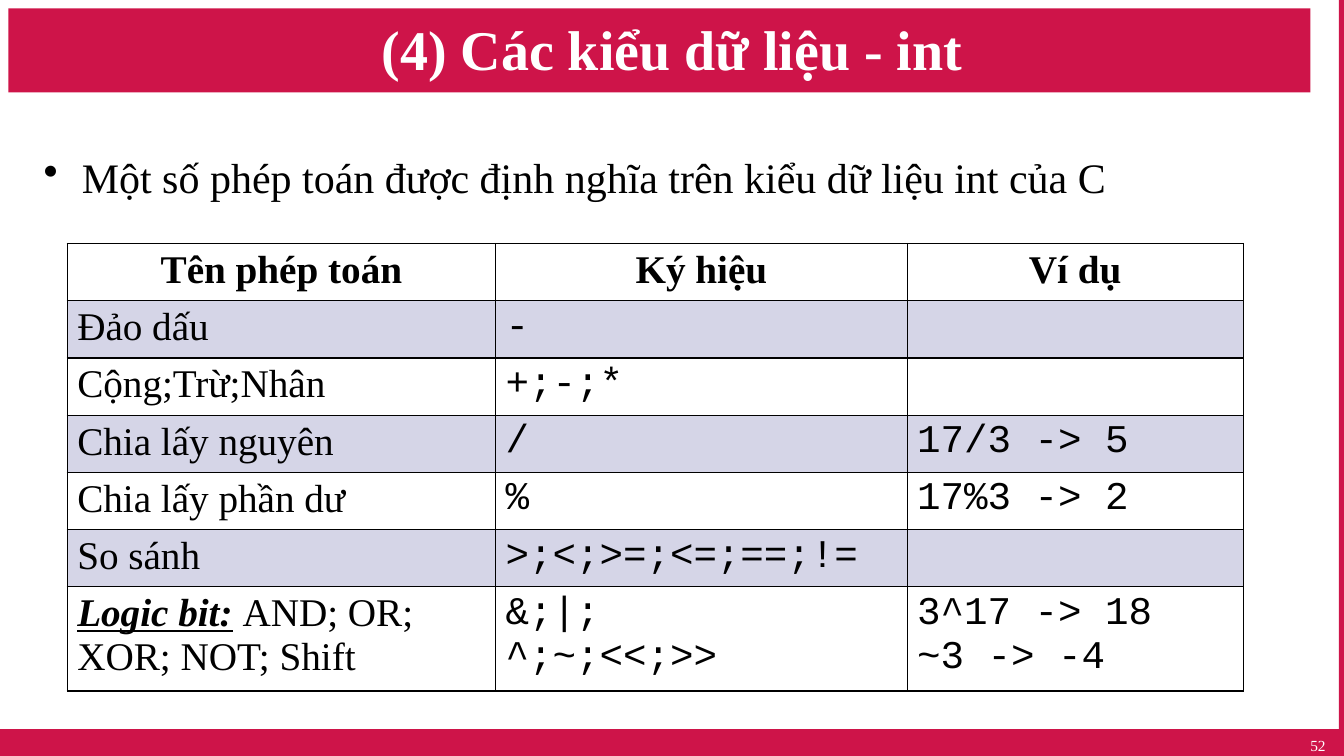
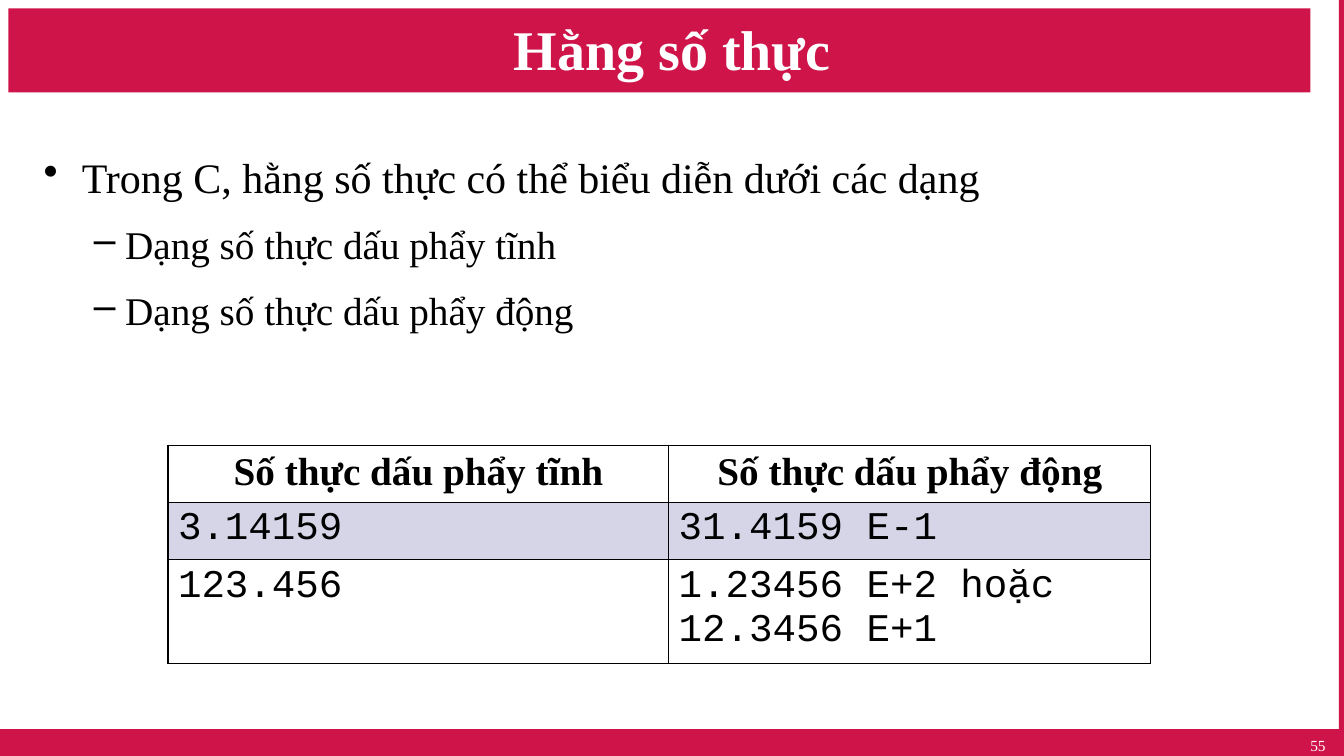
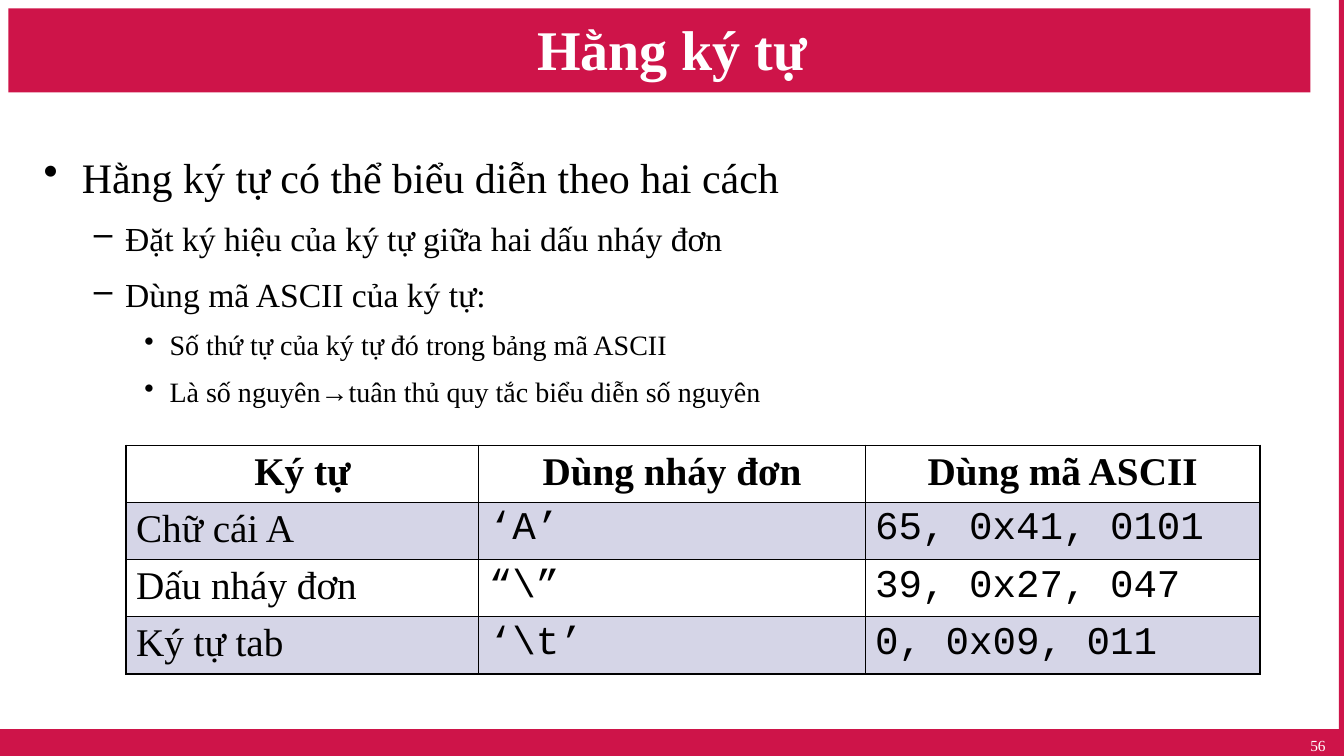
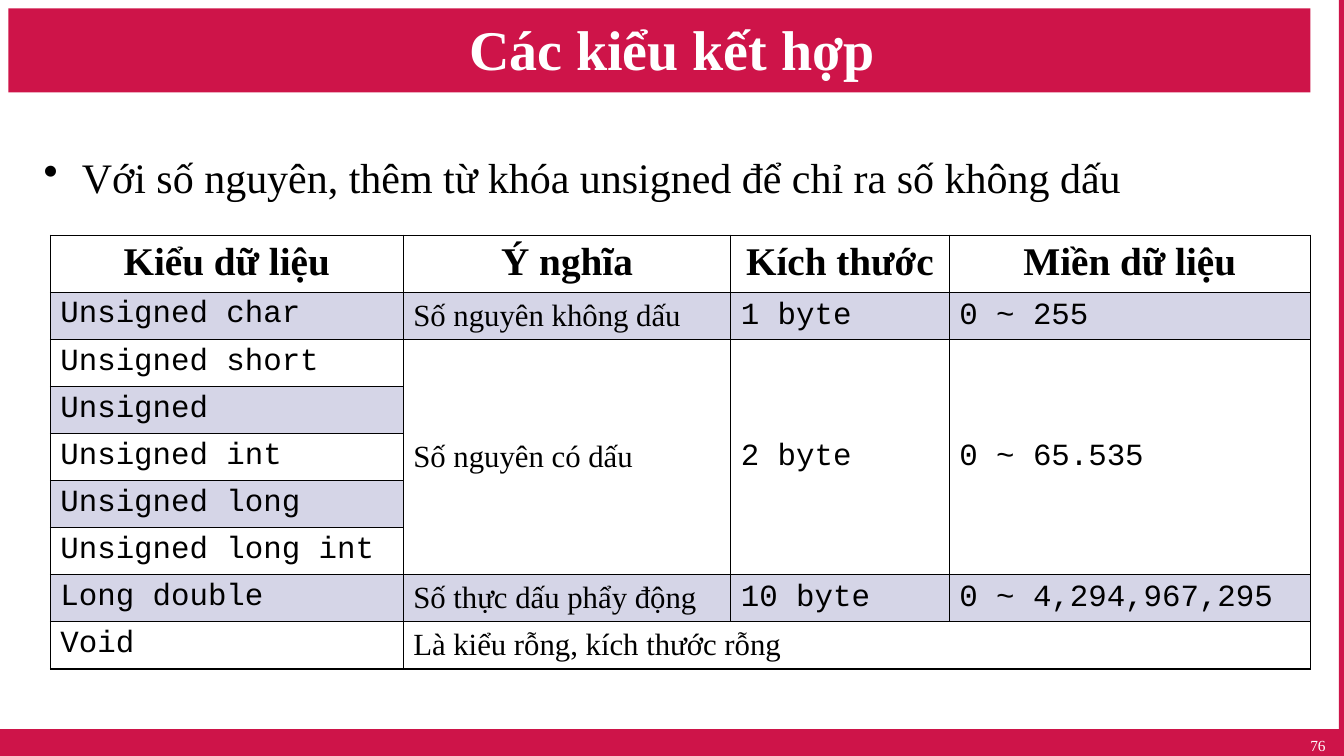
from lxml.etree import SubElement
from pptx import Presentation
from pptx.dml.color import RGBColor
from pptx.enum.shapes import MSO_SHAPE
from pptx.enum.text import MSO_ANCHOR, PP_ALIGN
from pptx.oxml.ns import qn
from pptx.util import Inches, Pt

UNIT = 1 / 12
WIDE, HIGH = 160, 90
RED, WHITE, BLACK, BLUE = "CE1449", "FFFFFF", "000000", "2D2D8A"
SERIF, MONO = "Times New Roman", "Courier New"


def grid(n):
    return Inches(n * UNIT)


def color(text):
    return RGBColor.from_string(text)


def apply(item, form):
    for key, value in form.items():
        setattr(item, key, value)


class Deck:
    base = {"name": SERIF, "size": Pt(28), "bold": False}
    bands = [(1, 1, 155, 10), (0, 86.8, WIDE, 3.2), (159.4, 0, 0.6, HIGH)]
    levels = [("•", 0.38, 0.38), ("–", 0.81, 0.31), ("•", 1.25, 0.25)]
    edges = ("a:lnL", "a:lnR", "a:lnT", "a:lnB")

    def __init__(self):
        self.file = Presentation()
        apply(self.file, {"slide_width": grid(WIDE), "slide_height": grid(HIGH)})
        self.page = None

    def start(self, title, number):
        self.page = self.file.slides.add_slide(self.file.slide_layouts[6])
        for place in self.bands:
            self.band(place)
        head = self.box((8, 2, 144, 7.4), MSO_ANCHOR.MIDDLE)
        self.put(head.paragraphs[0], title, WHITE, {"size": Pt(40), "bold": True},
                 {"alignment": PP_ALIGN.CENTER})
        foot = self.box((121.7, 86, 37.3, 3))
        self.put(foot.paragraphs[0], number, WHITE, {"size": Pt(11)},
                 {"alignment": PP_ALIGN.RIGHT, "line_spacing": 1.5})

    def band(self, place):
        shape = self.page.shapes.add_shape(MSO_SHAPE.RECTANGLE, *map(grid, place))
        shape.shadow.inherit = False
        shape.fill.solid()
        shape.fill.fore_color.rgb = color(RED)
        shape.line.fill.background()

    def box(self, place, anchor=MSO_ANCHOR.TOP):
        frame = self.page.shapes.add_textbox(*map(grid, place)).text_frame
        apply(frame, {"word_wrap": True, "vertical_anchor": anchor})
        return frame

    def put(self, para, text, ink, font, form):
        apply(para, form)
        parts = [(text, {})] if isinstance(text, str) else text
        for words, extra in parts:
            run = para.add_run()
            run.text = words
            apply(run.font, {**self.base, **font, **extra})
            run.font.color.rgb = color(ink)

    def points(self, items):
        frame = self.box((4, 15, 152, 70))
        for n, (level, size, text) in enumerate(items):
            para = frame.add_paragraph() if n else frame.paragraphs[0]
            mark, left, hang = self.levels[level]
            props = para._p.get_or_add_pPr()
            props.set("marL", str(Inches(left)))
            props.set("indent", str(-Inches(hang)))
            SubElement(props, qn("a:buChar"), char=mark)
            self.put(para, text, BLACK, {"size": Pt(size)},
                     {"level": level, "alignment": PP_ALIGN.JUSTIFY, "line_spacing": 1.4})

    def table(self, left, top, cols, rows, tall, size=28, spans=(), anchor=MSO_ANCHOR.TOP):
        frame = self.page.shapes.add_table(
            len(rows), len(cols), grid(left), grid(top), grid(sum(cols)), grid(sum(tall)))
        table = frame.table
        apply(table, {"first_row": False, "horz_banding": False})
        for col, width in zip(table.columns, cols):
            col.width = grid(width)
        for row, height in zip(table.rows, tall):
            row.height = grid(height)
        for r, row in enumerate(rows):
            for c in range(len(cols)):
                cell = table.cell(r, c)
                self.dress(cell, r % 2 == 1)
                if c and r:
                    cell.vertical_anchor = anchor
                if c < len(row):
                    self.fill(cell, row[c], r == 0, size)
        for first, last in spans:
            table.cell(*first).merge(table.cell(*last))

    def fill(self, cell, text, head, size):
        mono = isinstance(text, str) and text.startswith("`")
        lines = text.lstrip("`").split("\n") if isinstance(text, str) else [text]
        font = {"name": MONO if mono else SERIF, "size": Pt(28 if head else size), "bold": head}
        side = PP_ALIGN.CENTER if head else PP_ALIGN.LEFT
        for n, line in enumerate(lines):
            para = cell.text_frame.add_paragraph() if n else cell.text_frame.paragraphs[0]
            self.put(para, line, BLACK, font, {"alignment": side})

    def dress(self, cell, tint):
        props = cell._tc.get_or_add_tcPr()
        for edge in self.edges:
            line = SubElement(props, qn(edge), w=str(Pt(1)))
            paint = SubElement(line, qn("a:solidFill"))
            SubElement(paint, qn("a:srgbClr"), val=BLACK)
        if tint:
            cell.fill.solid()
            cell.fill.fore_color.rgb = color(BLUE)
            tone = props.find(qn("a:solidFill")).find(qn("a:srgbClr"))
            SubElement(tone, qn("a:alpha"), val="20000")
        else:
            cell.fill.background()


def main():
    deck = Deck()

    deck.start("(4) Các kiểu dữ liệu - int", "52")
    deck.points([(0, 30, "Một số phép toán được định nghĩa trên kiểu dữ liệu int của C")])
    logic = [("Logic bit:", {"bold": True, "italic": True, "underline": True}),
             (" ", {"bold": True, "italic": True}),
             ("AND; OR; XOR; NOT; Shift", {})]
    deck.table(8, 29, [51, 49, 40], [
        ["Tên phép toán", "Ký hiệu", "Ví dụ"],
        ["Đảo dấu", "`-"],
        ["Cộng;Trừ;Nhân", "`+;-;*"],
        ["Chia lấy nguyên", "`/", "`17/3 -> 5"],
        ["Chia lấy phần dư", "`%", "`17%3 -> 2"],
        ["So sánh", "`>;<;>=;<=;==;!="],
        [logic, "`&;|;\n^;~;<<;>>", "`3^17 -> 18\n~3 -> -4"],
    ], [6.4] + [6.5] * 5 + [11.7])

    deck.start("Hằng số thực", "55")
    deck.points([
        (0, 30, "Trong C, hằng số thực có thể biểu diễn dưới các dạng"),
        (1, 28, "Dạng số thực dấu phẩy tĩnh"),
        (1, 28, "Dạng số thực dấu phẩy động"),
    ])
    deck.table(20, 53, [59.6, 57.4], [
        ["Số thực dấu phẩy tĩnh", "Số thực dấu phẩy động"],
        ["`3.14159", "`31.4159 E-1"],
        ["`123.456", "`1.23456 E+2 hoặc\n12.3456 E+1"],
    ], [6.6, 6.4, 11.8])

    deck.start("Hằng ký tự", "56")
    deck.points([
        (0, 30, "Hằng ký tự có thể biểu diễn theo hai cách"),
        (1, 24, "Đặt ký hiệu của ký tự giữa hai dấu nháy đơn"),
        (1, 24, "Dùng mã ASCII của ký tự:"),
        (2, 20, "Số thứ tự của ký tự đó trong bảng mã ASCII"),
        (2, 20, "Là số nguyên→tuân thủ quy tắc biểu diễn số nguyên"),
    ])
    deck.table(15, 53, [42, 46, 47], [
        ["Ký tự", "Dùng nháy đơn", "Dùng mã ASCII"],
        ["Chữ cái A", "`‘A’", "`65, 0x41, 0101"],
        ["Dấu nháy đơn", "`“\\”", "`39, 0x27, 047"],
        ["Ký tự tab", "`‘\\t’", "`0, 0x09, 011"],
    ], [6.4] + [6.5] * 3)

    deck.start("Các kiểu kết hợp", "76")
    deck.points([(0, 30, "Với số nguyên, thêm từ khóa unsigned để chỉ ra số không dấu")])
    deck.table(6, 28, [42, 39, 26, 43], [
        ["Kiểu dữ liệu", "Ý nghĩa", "Kích thước", "Miền dữ liệu"],
        ["`Unsigned char", "Số nguyên không dấu", "`1 byte", "`0 ~ 255"],
        ["`Unsigned short", "Số nguyên có dấu", "`2 byte", "`0 ~ 65.535"],
        ["`Unsigned"],
        ["`Unsigned int"],
        ["`Unsigned long"],
        ["`Unsigned long int"],
        ["`Long double", "Số thực dấu phẩy động", "`10 byte", "`0 ~ 4,294,967,295"],
        ["`Void", "Là kiểu rỗng, kích thước rỗng"],
    ], [6.4] + [5.35] * 6 + [5.6, 5.35], 22,
        [((2, c), (6, c)) for c in (1, 2, 3)] + [((8, 1), (8, 3))], MSO_ANCHOR.MIDDLE)

    deck.file.save("out.pptx")


if __name__ == "__main__":
    main()
